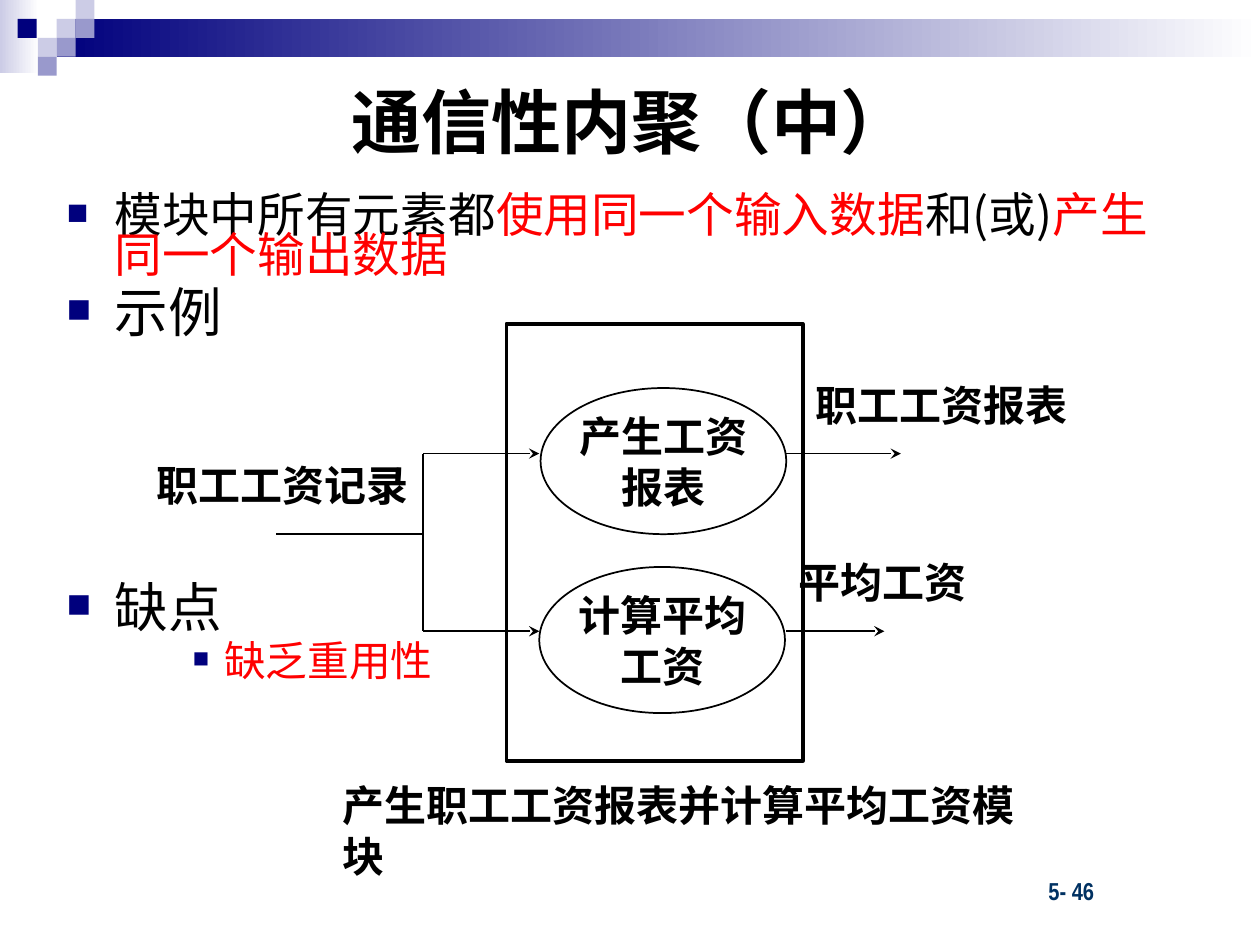
"""Build a slide on communicational cohesion with a payroll module diagram."""
from lxml import etree
from pptx import Presentation
from pptx.dml.color import RGBColor
from pptx.enum.shapes import MSO_CONNECTOR, MSO_SHAPE
from pptx.enum.text import MSO_ANCHOR, MSO_AUTO_SIZE, PP_ALIGN
from pptx.oxml.ns import qn
from pptx.util import Inches, Pt

RECT, OVAL = MSO_SHAPE.RECTANGLE, MSO_SHAPE.OVAL
LINE = MSO_CONNECTOR.STRAIGHT
MID, TOP = MSO_ANCHOR.MIDDLE, MSO_ANCHOR.TOP
LEFT, MIDDLE = PP_ALIGN.LEFT, PP_ALIGN.CENTER
FIXED = MSO_AUTO_SIZE.NONE


class Theme:
    black, white, red = "000000", "FFFFFF", "FF0000"
    navy, lilac, pale, page = "00007D", "9999CC", "CCCCE6", "003162"
    font, narrow = "Noto Sans CJK SC", "Arial Narrow"
    title, head, lead, sub, label, foot = 40, 30.6, 27.2, 23.8, 24, 14


def write(para, text, size=Theme.label, color=Theme.black, bold=True,
          font=Theme.font, align=LEFT):
    para.alignment = align
    run = para.add_run()
    run.text = text
    run.font.size = Pt(size)
    run.font.bold = bold
    run.font.name = font
    run.font.color.rgb = RGBColor.from_string(color)
    etree.SubElement(run._r.get_or_add_rPr(), qn("a:ea"), typeface=font)


def place(shape, box):
    shape.left, shape.top, shape.width, shape.height = map(Inches, box)


deck = Presentation()
deck.slide_width, deck.slide_height = Inches(10), Inches(7.5)
slide = deck.slides.add_slide(deck.slide_layouts[1])
shapes = slide.shapes
title, body = shapes.title, slide.placeholders[1]

for box, tint in (((0, 0, 0.31, 0.58), Theme.pale),
                  ((0.45, 0.15, 9.55, 0.3), Theme.navy)):
    band = shapes.add_shape(RECT, *map(Inches, box))
    band.shadow.inherit = False
    band.line.fill.background()
    band.fill.gradient()
    band.fill.gradient_angle = 0
    for stop, shade, spot in zip(band.fill.gradient_stops, (tint, Theme.white), (0, 1)):
        stop.color.rgb = RGBColor.from_string(shade)
        stop.position = spot

side = 0.15
for left, top, tint in (
        (0.45, 0.15, Theme.pale), (0.6, 0, Theme.pale), (0.6, 0.15, Theme.lilac),
        (0.3, 0.3, Theme.pale), (0.14, 0.15, Theme.navy),
        (0.45, 0.3, Theme.lilac), (0.3, 0.45, Theme.lilac)):
    tile = shapes.add_shape(RECT, *map(Inches, (left, top, side, side)))
    tile.shadow.inherit = False
    tile.line.fill.background()
    tile.fill.solid()
    tile.fill.fore_color.rgb = RGBColor.from_string(tint)

foot = shapes.add_textbox(*map(Inches, (7.28, 6.9, 2.08, 0.33))).text_frame
foot.word_wrap = True
foot.margin_left = Inches(1.04)
write(foot.paragraphs[0], "5- 46", size=Theme.foot, color=Theme.page, font=Theme.narrow)

for holder, box, anchor in ((title, (0.51, 0.36, 9, 1.2), MID),
                            (body, (0.43, 1.54, 9, 4.56), TOP)):
    place(holder, box)
    holder.text_frame.auto_size = FIXED
    holder.text_frame.vertical_anchor = anchor
    shapes._spTree.append(holder._element)
write(title.text_frame.paragraphs[0], "通信性内聚（中）", size=Theme.title, align=MIDDLE)

points = (
    (0, 0, Theme.lead, (("模块中所有元素都", Theme.black), ("使用同一个输入数据", Theme.red),
                        ("和(或)", Theme.black), ("产生同一个输出数据", Theme.red))),
    (0, 9, Theme.head, (("示例", Theme.black),)),
    (0, 143, Theme.head, (("缺点", Theme.black),)),
    (2, 7, Theme.sub, (("缺乏重用性", Theme.red),)),
)
frame = body.text_frame
for rank, (level, gap, size, parts) in enumerate(points):
    para = frame.add_paragraph() if rank else frame.paragraphs[0]
    para.level = level
    inset, hang, scale = (1.25, 0.25, 65000) if level else (0.38, 0.38, 75000)
    props = para._p.get_or_add_pPr()
    props.set("marL", str(Inches(inset)))
    props.set("indent", str(-Inches(hang)))
    tint = etree.SubElement(props, qn("a:buClr"))
    etree.SubElement(tint, qn("a:srgbClr"), val=Theme.navy)
    etree.SubElement(props, qn("a:buSzPct"), val=str(scale))
    etree.SubElement(props, qn("a:buChar"), char="■")
    para.line_spacing = 0.7
    para.space_before = Pt(gap)
    for text, color in parts:
        write(para, text, size=size, color=color, bold=False)

for kind, box, weight, words in (
        (RECT, (4.02, 2.57, 2.35, 3.47), 2.25, ()),
        (OVAL, (4.29, 3.08, 1.95, 1.16), 1, ("产生工资", "报表")),
        (OVAL, (4.28, 4.5, 1.95, 1.16), 1, ("计算平均", "工资"))):
    node = shapes.add_shape(kind, *map(Inches, box))
    node.shadow.inherit = False
    node.line.color.rgb = RGBColor.from_string(Theme.black)
    node.line.width = Pt(weight)
    if not words:
        node.fill.background()
        continue
    node.fill.solid()
    node.fill.fore_color.rgb = RGBColor.from_string(Theme.white)
    frame = node.text_frame
    frame.word_wrap = False
    frame.vertical_anchor = MID
    for rank, word in enumerate(words):
        para = frame.add_paragraph() if rank else frame.paragraphs[0]
        write(para, word, align=MIDDLE)

fork, high, low = 3.36, 3.6, 5.01
for ends, arrow in (
        ((4.28, high, fork, high), True), ((4.28, low, fork, low), True),
        ((fork, 4.24, 2.19, 4.24), False), ((fork, high, fork, low), False),
        ((7.15, high, 6.24, high), True), ((7.02, low, 6.24, low), True)):
    link = shapes.add_connector(LINE, *map(Inches, ends))
    link.line.color.rgb = RGBColor.from_string(Theme.black)
    link.line.width = Pt(1)
    if arrow:
        etree.SubElement(link.line._get_or_add_ln(), qn("a:headEnd"), type="stealth")
    etree.SubElement(link._element.spPr, qn("a:effectLst"))

for text, box, wrap in (
        ("职工工资记录", (1.14, 3.6, 2.35, 0.5), True),
        ("职工工资报表", (6.37, 2.96, 2.22, 0.5), True),
        ("平均工资", (6.24, 4.37, 1.83, 0.5), True),
        ("产生职工工资报表并计算平均工资模块", (2.62, 6.14, 5.86, 0.5), False)):
    frame = shapes.add_textbox(*map(Inches, box)).text_frame
    frame.word_wrap = wrap
    write(frame.paragraphs[0], text)

deck.save("out.pptx")
